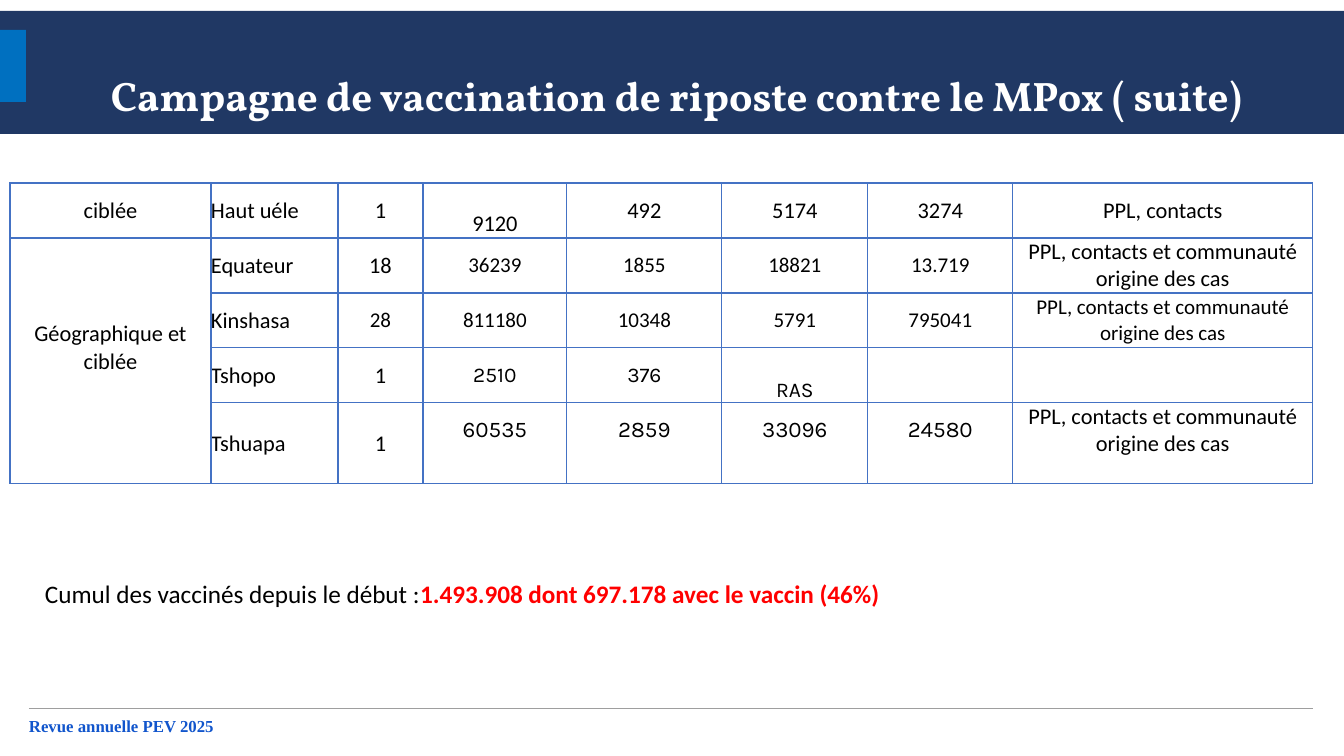
from lxml import etree
from pptx import Presentation
from pptx.dml.color import RGBColor
from pptx.enum.shapes import MSO_CONNECTOR, MSO_SHAPE
from pptx.enum.text import MSO_ANCHOR, MSO_AUTO_SIZE, PP_ALIGN
from pptx.oxml.ns import qn
from pptx.util import Pt

LEFT, CENTER = PP_ALIGN.LEFT, PP_ALIGN.CENTER
TOP, MIDDLE, BOTTOM = MSO_ANCHOR.TOP, MSO_ANCHOR.MIDDLE, MSO_ANCHOR.BOTTOM
NO_AUTOFIT = MSO_AUTO_SIZE.NONE
RECTANGLE, STRAIGHT = MSO_SHAPE.RECTANGLE, MSO_CONNECTOR.STRAIGHT

EMU_PER_PX = 914400 / 100.8
COLORS = {
    "navy": "203864", "accent": "0070C0", "rule": "9E9E9E", "footer": "1155CC",
    "grid": "4472C4", "text": "000000", "alert": "FF0000", "white": "FFFFFF",
}

COLUMN_WIDTHS = [201, 127, 85, 144, 155, 146, 145, 300]
ROW_HEIGHTS = [55, 55, 55, 55, 81]
COMMUNITY = "PPL, contacts et communauté origine des cas"
PROVINCES = [
    ["ciblée", "Haut uéle", "1", "9120", "492", "5174", "3274", "PPL, contacts"],
    ["Géographique et ciblée", "Equateur", "18", "36239", "1855", "18821", "13.719", COMMUNITY],
    ["", "Kinshasa", "28", "811180", "10348", "5791", "795041", COMMUNITY],
    ["", "Tshopo", "1", "2510", "376", "RAS", "", ""],
    ["", "Tshuapa", "1", "60535", "2859", "33096", "24580", COMMUNITY],
]
# Per row: size of the count, the figures and the target group, font of the figures
ROW_FORMATS = [
    (16, 16, 16, "Calibri"),
    (16, 15, 16, "Calibri"),
    (15, 15, 15, "Calibri"),
    (16, 15, 16, "Karla"),
    (16, 16, 16, "Karla"),
]
LOW_CELLS = {(0, 3), (3, 5)}
# Cells whose text sits one line higher than the middle
RAISED_CELLS = {(1, 0)} | {(4, column) for column in range(3, 8)}


def px(length):
    return round(length * EMU_PER_PX)


def color(name):
    return RGBColor.from_string(COLORS[name])


def apply(target, values):
    for name, value in values.items():
        setattr(target, name, value)


def set_insets(target, left=0, top=0, right=0, bottom=0):
    apply(target, {"margin_left": px(left), "margin_top": px(top),
                   "margin_right": px(right), "margin_bottom": px(bottom)})


def write_runs(paragraph, runs, align=LEFT):
    paragraph.alignment = align
    for text, size, font, tint, bold in runs:
        run = paragraph.add_run()
        run.text = text
        apply(run.font, {"size": Pt(size), "name": font, "bold": bold})
        run.font.color.rgb = color(tint)


def fill_solid(target, name):
    target.fill.solid()
    target.fill.fore_color.rgb = color(name)


def add_title(slide, text):
    title = slide.shapes.title
    apply(title, {"left": 0, "top": px(11), "width": px(1344), "height": px(123)})
    fill_solid(title, "navy")
    frame = title.text_frame
    apply(frame, {"word_wrap": True, "auto_size": NO_AUTOFIT, "vertical_anchor": BOTTOM})
    set_insets(frame, left=9, bottom=14)
    frame.paragraphs[0].line_spacing = 1.0
    write_runs(frame.paragraphs[0], [(text, 29.4, "Vollkorn", "white", True)], CENTER)


def add_block(slide, left, top, width, height, fill):
    block = slide.shapes.add_shape(RECTANGLE, px(left), px(top), px(width), px(height))
    block.shadow.inherit = False
    fill_solid(block, fill)
    block.line.fill.background()


def add_rule(slide, left, right, y):
    rule = slide.shapes.add_connector(STRAIGHT, px(left), px(y), px(right), px(y))
    rule.line.color.rgb = color("rule")
    rule.line.width = Pt(0.75)
    etree.SubElement(rule._element.spPr, qn("a:effectLst"))


def add_text(slide, left, top, width, height, runs):
    box = slide.shapes.add_textbox(px(left), px(top), px(width), px(height))
    frame = box.text_frame
    apply(frame, {"word_wrap": True, "auto_size": NO_AUTOFIT, "vertical_anchor": TOP})
    set_insets(frame)
    write_runs(frame.paragraphs[0], runs)


def add_borders(cell):
    properties = cell._tc.get_or_add_tcPr()
    for side in ("a:lnL", "a:lnR", "a:lnT", "a:lnB"):
        border = etree.SubElement(properties, qn(side), w=str(Pt(1)))
        fill = etree.SubElement(border, qn("a:solidFill"))
        etree.SubElement(fill, qn("a:srgbClr"), val=COLORS["grid"])


def cell_font(row, column):
    count_size, figure_size, target_size, figure_font = ROW_FORMATS[row]
    if column < 2:
        return 16, "Calibri"
    if column == 2:
        return count_size, "Calibri"
    if column == 7:
        return target_size, "Calibri"
    return figure_size, figure_font


def add_province_table(slide, left, top):
    table = slide.shapes.add_table(
        len(PROVINCES), len(COLUMN_WIDTHS), px(left), px(top),
        px(sum(COLUMN_WIDTHS)), px(sum(ROW_HEIGHTS))).table
    apply(table, {"first_row": False, "horz_banding": False})
    for column, width in zip(table.columns, COLUMN_WIDTHS):
        column.width = px(width)
    for row, height in zip(table.rows, ROW_HEIGHTS):
        row.height = px(height)
    for r, values in enumerate(PROVINCES):
        for c, value in enumerate(values):
            cell = table.cell(r, c)
            add_borders(cell)
            fill_solid(cell, "white")
            set_insets(cell, bottom=26 if (r, c) in RAISED_CELLS else 0)
            cell.vertical_anchor = BOTTOM if (r, c) in LOW_CELLS else MIDDLE
            if value:
                size, font = cell_font(r, c)
                write_runs(cell.text_frame.paragraphs[0],
                           [(value, size, font, "text", False)],
                           LEFT if c == 1 else CENTER)
    table.cell(1, 0).merge(table.cell(4, 0))


def main():
    deck = Presentation()
    apply(deck, {"slide_width": px(1344), "slide_height": px(756)})
    slide = deck.slides.add_slide(deck.slide_layouts[5])

    # Header
    add_title(slide, "Campagne de vaccination de riposte contre le MPox ( suite)")
    add_block(slide, 0, 30, 26, 72, "accent")

    # Results by province
    add_province_table(slide, 10, 183)

    # Running total
    add_text(slide, 45, 578, 1011, 32, [
        ("Cumul des vaccinés depuis le début :", 18, "Calibri", "text", False),
        ("1.493.908 dont 697.178 avec le vaccin (46%)", 18, "Calibri", "alert", True),
    ])

    # Footer
    add_rule(slide, 29, 1313, 709)
    add_text(slide, 29, 716, 1258, 20, [
        ("Revue annuelle PEV 2025", 12, "Times New Roman", "footer", True)])

    deck.save("out.pptx")


if __name__ == "__main__":
    main()
